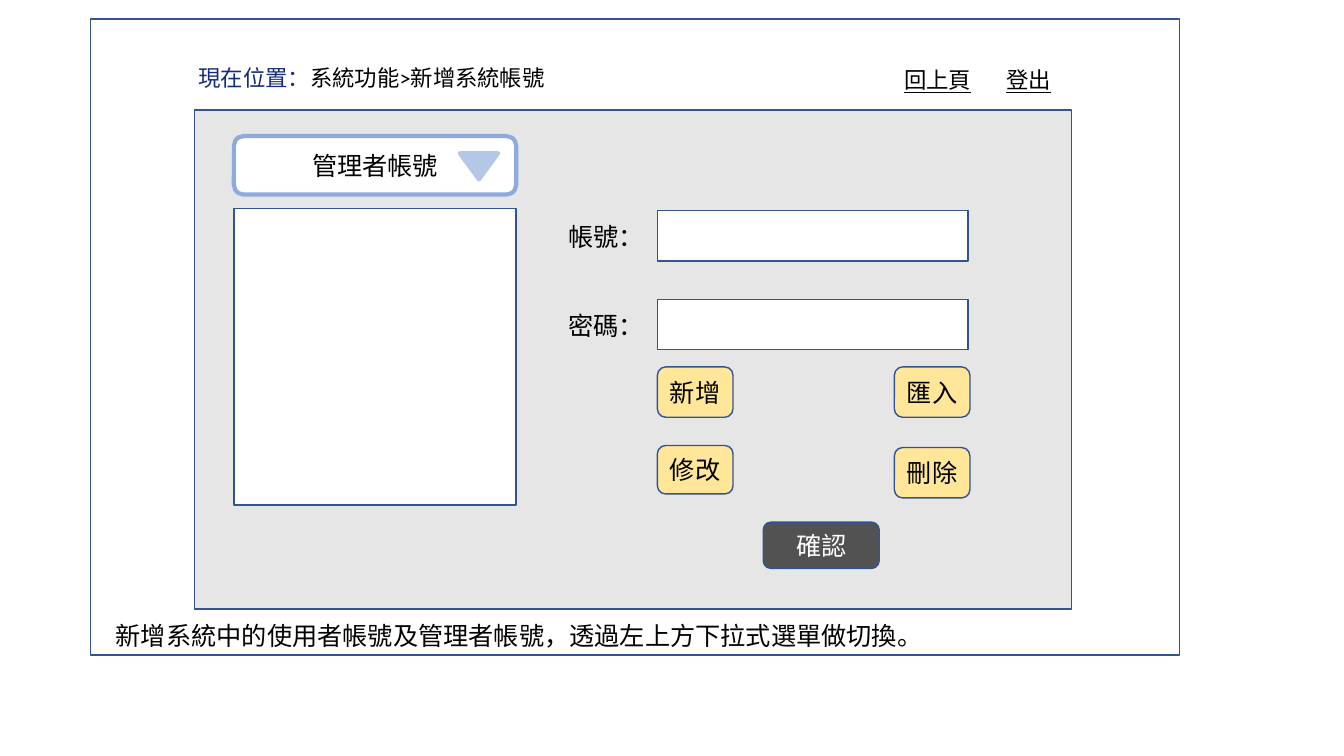
from pptx import Presentation
from pptx.dml.color import RGBColor
from pptx.enum.shapes import MSO_SHAPE as SHAPE
from pptx.enum.text import MSO_ANCHOR as ANCHOR, MSO_AUTO_SIZE as AUTO, PP_ALIGN as ALIGN
from pptx.util import Emu, Pt

PX = 9144
COLORS = {
    "white": "FFFFFF", "black": "000000", "navy": "132B79", "outline": "325491",
    "panel": "E7E6E6", "button": "FFE699", "confirm": "525252",
    "menu": "8FAADC", "arrow": "B4C7E7",
}


class Wireframe:
    font = "Calibri"

    def __init__(self, slide):
        self.s = slide

    def color(self, name):
        return RGBColor.from_string(COLORS[name])

    def box(self, at, fill="white", kind=SHAPE.RECTANGLE, line="outline", weight=1):
        sp = self.s.shapes.add_shape(kind, *(Emu(v * PX) for v in at))
        sp.shadow.inherit = False
        sp.fill.solid()
        sp.fill.fore_color.rgb = self.color(fill)
        sp.line.color.rgb = self.color(line)
        sp.line.width = Pt(weight)
        return sp

    def add_runs(self, tf, runs, size=18, align=ALIGN.LEFT, underline=None):
        p = tf.paragraphs[0]
        p.alignment = align
        for text, color in runs:
            r = p.add_run()
            r.text = text
            r.font.name = self.font
            r.font.size = Pt(size)
            r.font.underline = underline
            r.font.color.rgb = self.color(color)

    def button(self, at, text, fill="button", color="black", **style):
        sp = self.box(at, fill, SHAPE.ROUNDED_RECTANGLE, **style)
        tf = sp.text_frame
        tf.vertical_anchor = ANCHOR.MIDDLE
        tf.margin_left = tf.margin_right = 0
        self.add_runs(tf, [(text, color)], align=ALIGN.CENTER)

    def text(self, at, runs, wrap=True, **style):
        tf = self.s.shapes.add_textbox(*(Emu(v * PX) for v in at)).text_frame
        tf.word_wrap = wrap
        tf.auto_size = AUTO.SHAPE_TO_FIT_TEXT
        if not wrap:
            tf.margin_right = 0
        self.add_runs(tf, runs, **style)

    def field(self, top, label):
        self.box((652, top, 308, 50), kind=SHAPE.FLOWCHART_PROCESS)
        self.text((554, top + 6, 84, 42), [(label, "black")], wrap=False)

    def dropdown(self, at, text):
        self.button(at, text, fill="white", line="menu", weight=3)
        left, top, width, _ = at
        sp = self.box((left + width - 56, top + 17, 38, 26), "arrow",
                      SHAPE.FLOWCHART_EXTRACT, "arrow", 3)
        sp.rotation = 180


def main():
    prs = Presentation()
    prs.slide_width, prs.slide_height = Emu(1333 * PX), Emu(750 * PX)
    page = Wireframe(prs.slides.add_slide(prs.slide_layouts[6]))

    page.box((90, 19, 1080, 631))
    page.box((193, 109, 870, 495), "panel")
    page.box((232, 207, 280, 294))

    for top, label in ((209, "帳號："), (297, "密碼：")):
        page.field(top, label)

    for left, top, height, text in (
        (652, 364, 50, "新增"), (887, 364, 50, "匯入"),
        (652, 442, 48, "修改"), (887, 444, 50, "刪除"),
    ):
        page.button((left, top, 75, height), text)

    page.dropdown((232, 135, 280, 58), "管理者帳號")
    page.button((757, 518, 115, 46), "確認", "confirm", "white")

    page.text((187, 59, 783, 37),
              [("現在位置：", "navy"), ("系統功能>新增系統帳號", "black")], size=16)
    for left, text, align in ((887, "回上頁", ALIGN.LEFT), (961, "登出", ALIGN.CENTER)):
        page.text((left, 61, 118, 37), [(text, "black")],
                  size=16, align=align, underline=True)
    page.text((105, 610, 982, 40),
              [("新增系統中的使用者帳號及管理者帳號，透過左上方下拉式選單做切換。", "black")])

    prs.save("out.pptx")


if __name__ == "__main__":
    main()
